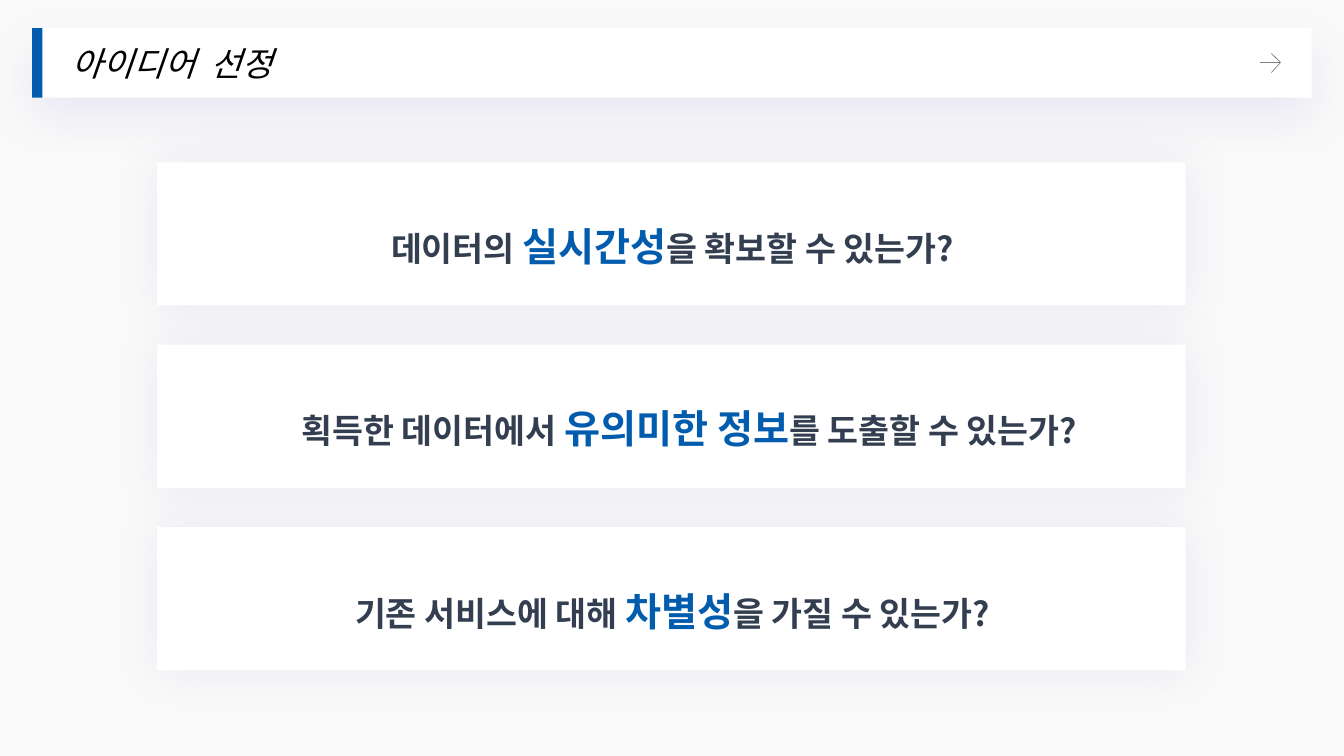
from dataclasses import dataclass

from lxml import etree
from pptx import Presentation, util as u
from pptx.dml.color import RGBColor
from pptx.enum import shapes, text
from pptx.oxml import ns

BLUE, SLATE, GREY, WHITE = "015CAD", "333F50", "808080", "FFFFFF"
SHADOW = "5B4BB9"
KOREAN_FONT = "Noto Sans CJK KR"
CARD_LEFT, CARD_TOP, CARD_PITCH = 1.56, 1.61, 1.81
CARD_WIDTH, CARD_HEIGHT = 10.2, 1.42
QUESTION_OFFSET, QUESTION_HEIGHT = 0.31, 0.81


@dataclass
class Question:
    left: float
    width: float
    before: str
    keyword: str
    after: str


QUESTIONS = [
    Question(3.51, 6.32, "데이터의 ", "실시간성", "을 확보할 수 있는가?"),
    Question(2.45, 8.77, "획득한 데이터에서 ", "유의미한 정보", "를 도출할 수 있는가?"),
    Question(2.97, 7.4, "기존 서비스에 대해 ", "차별성", "을 가질 수 있는가?"),
]


def rgb(value: str) -> RGBColor:
    return RGBColor.from_string(value)


def inches(*lengths: float) -> list:
    return [u.Inches(length) for length in lengths]


def paint(shape, color: str) -> None:
    shape.fill.solid()
    shape.fill.fore_color.rgb = rgb(color)


def draw_stroke(shape) -> None:
    shape.line.color.rgb = rgb(GREY)
    shape.line.width = u.Pt(0.5)


def add_glow(shape, distance: float = 0) -> None:
    """Give a shape a soft violet shadow, falling downwards by distance in points."""
    shape.shadow.inherit = False
    effects = shape._element.spPr.find(ns.qn("a:effectLst"))
    outer = etree.SubElement(
        effects, ns.qn("a:outerShdw"), blurRad=str(u.Pt(35)), dist=str(u.Pt(distance)),
        dir="5400000" if distance else "0", algn="ctr", rotWithShape="0")
    color = etree.SubElement(outer, ns.qn("a:srgbClr"), val=SHADOW)
    etree.SubElement(color, ns.qn("a:alpha"), val="10000")


def add_rectangle(page, left: float, top: float, width: float, height: float, color: str):
    box = page.shapes.add_shape(
        shapes.MSO_SHAPE.RECTANGLE, *inches(left, top, width, height))
    paint(box, color)
    box.line.fill.background()
    box.shadow.inherit = False
    return box


def add_span(para, words: str, *, size: float, color: str, font: str,
             bold: bool = False, italic: bool = False, east_asian: bool = False) -> None:
    span = para.add_run()
    span.text = words
    span.font.size = u.Pt(size)
    span.font.name = font
    span.font.bold = bold
    span.font.italic = italic
    span.font.color.rgb = rgb(color)
    if east_asian:
        etree.SubElement(span.font._element, ns.qn("a:ea"), typeface=font)


def add_header(page) -> None:
    title = page.shapes.title
    title.left, title.top, title.width, title.height = inches(0.32, 0.28, 12.69, 0.69)
    paint(title, WHITE)
    add_glow(title, distance=13)
    frame = title.text_frame
    frame.auto_size = text.MSO_AUTO_SIZE.NONE
    frame.vertical_anchor = text.MSO_ANCHOR.MIDDLE
    frame.margin_left = u.Inches(0.39)
    para = frame.paragraphs[0]
    para.alignment = text.PP_ALIGN.LEFT
    add_span(para, "아이디어  선정", size=24, color="000000", font="Lato", italic=True)
    add_rectangle(page, 0.32, 0.28, 0.1, 0.69, BLUE)


def add_arrow(page) -> None:
    arrow = page.shapes.add_group_shape()
    outline = arrow.shapes.build_freeform(*inches(12.61, 0.53))
    outline.add_line_segments([inches(12.7, 0.62), inches(12.61, 0.72)], close=False)
    tip = outline.convert_to_shape()
    tip.fill.background()
    tip.shadow.inherit = False
    draw_stroke(tip)
    shaft = arrow.shapes.add_connector(
        shapes.MSO_CONNECTOR.STRAIGHT, *inches(12.5, 0.62, 12.7, 0.62))
    draw_stroke(shaft)
    etree.SubElement(shaft._element.spPr, ns.qn("a:effectLst"))


def add_question(page, question: Question, top: float) -> None:
    box = page.shapes.add_textbox(
        *inches(question.left, top, question.width, QUESTION_HEIGHT))
    frame = box.text_frame
    frame.word_wrap = True
    frame.auto_size = text.MSO_AUTO_SIZE.SHAPE_TO_FIT_TEXT
    para = frame.paragraphs[0]
    para.alignment = text.PP_ALIGN.CENTER
    para.line_spacing = 1.5
    for words, size, color in ((question.before, 24, SLATE),
                               (question.keyword, 28, BLUE),
                               (question.after, 24, SLATE)):
        add_span(para, words, size=size, color=color, font=KOREAN_FONT,
                 bold=True, east_asian=True)


def main() -> None:
    deck = Presentation()
    deck.slide_width, deck.slide_height = inches(13.33, 7.5)
    page = deck.slides.add_slide(deck.slide_layouts.get_by_name("Title Only"))
    paint(page.background, "FAFAFA")

    # Header bar
    add_header(page)
    add_arrow(page)

    # Cards first, so that no shadow falls on a question
    tops = [CARD_TOP + row * CARD_PITCH for row in range(len(QUESTIONS))]
    for top in tops:
        add_glow(add_rectangle(page, CARD_LEFT, top, CARD_WIDTH, CARD_HEIGHT, WHITE))
    for question, top in zip(QUESTIONS, tops):
        add_question(page, question, top + QUESTION_OFFSET)

    deck.save("out.pptx")


if __name__ == "__main__":
    main()
